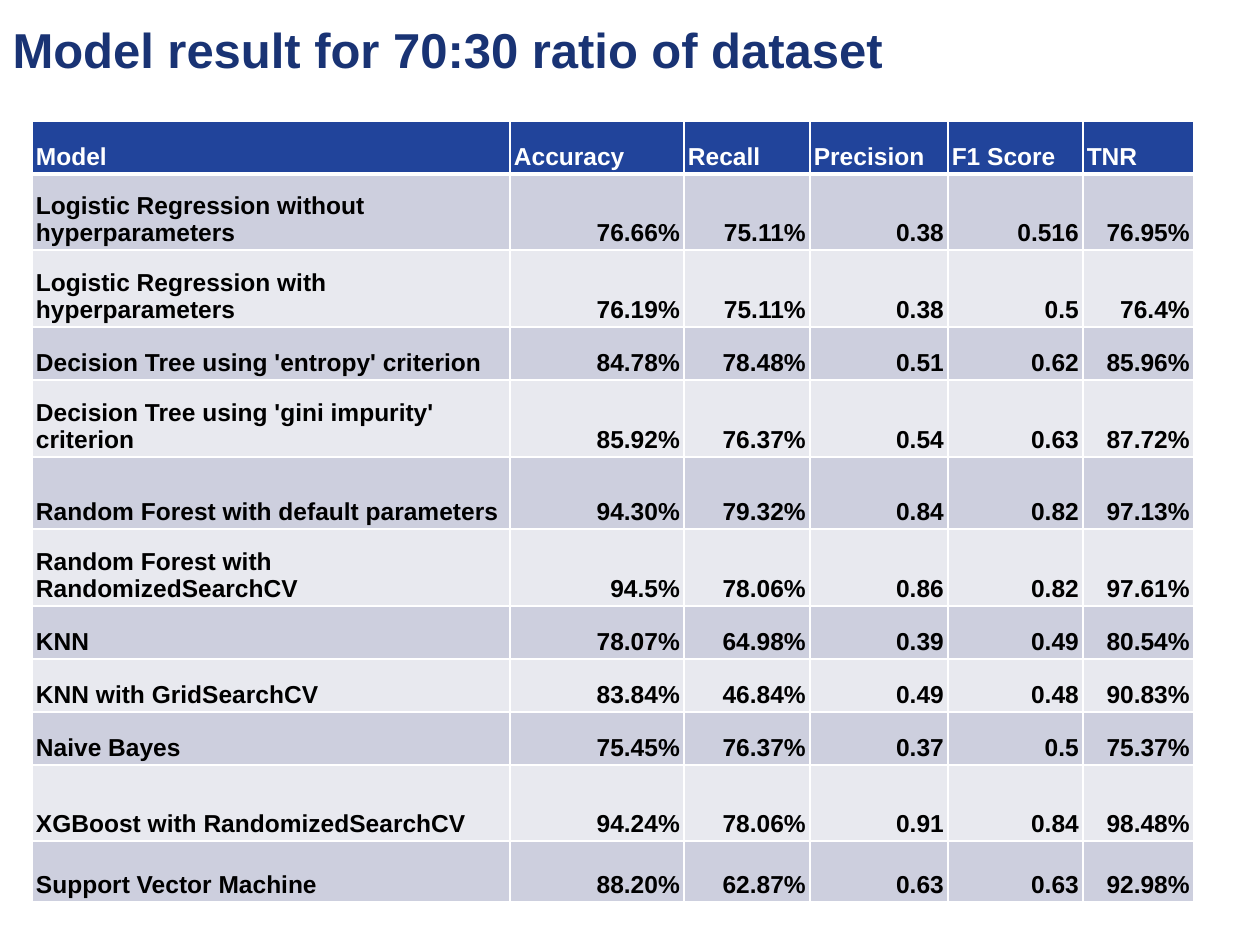
"""Build a slide that tabulates model results for the 70:30 dataset split."""
import pptx
import pptx.dml.color
import pptx.enum.text
import pptx.oxml.ns
import pptx.util
from lxml import etree

PX = 914400 // 126
FONT = "Arial"
COLORS = {
    "title": "193374",
    "header": "21449B",
    "header_text": "FFFFFF",
    "text": "000000",
    "odd_row": "CDCFDE",
    "even_row": "E8E9EF",
    "border": "FFFFFF",
}
TITLE = "Model result for 70:30 ratio of dataset"
HEADERS = ("Model", "Accuracy", "Recall", "Precision", "F1 Score", "TNR")
RESULTS = [
    ("Logistic Regression without hyperparameters", "76.66%", "75.11%", "0.38", "0.516", "76.95%"),
    ("Logistic Regression with hyperparameters", "76.19%", "75.11%", "0.38", "0.5", "76.4%"),
    ("Decision Tree using 'entropy' criterion", "84.78%", "78.48%", "0.51", "0.62", "85.96%"),
    ("Decision Tree using 'gini impurity' criterion", "85.92%", "76.37%", "0.54", "0.63", "87.72%"),
    ("Random Forest with default parameters", "94.30%", "79.32%", "0.84", "0.82", "97.13%"),
    ("Random Forest with RandomizedSearchCV", "94.5%", "78.06%", "0.86", "0.82", "97.61%"),
    ("KNN", "78.07%", "64.98%", "0.39", "0.49", "80.54%"),
    ("KNN with GridSearchCV", "83.84%", "46.84%", "0.49", "0.48", "90.83%"),
    ("Naive Bayes", "75.45%", "76.37%", "0.37", "0.5", "75.37%"),
    ("XGBoost with RandomizedSearchCV", "94.24%", "78.06%", "0.91", "0.84", "98.48%"),
    ("Support Vector Machine", "88.20%", "62.87%", "0.63", "0.63", "92.98%"),
]
COLUMN_WIDTHS = (478, 174, 126, 138, 135, 111)
ROW_HEIGHTS = (53, 76, 77, 53, 77, 72, 77, 53, 53, 53, 76, 61)
TABLE_LEFT, TABLE_TOP = 32, 121


def rgb(name):
    return pptx.dml.color.RGBColor.from_string(COLORS[name])


def add_text(paragraph, text, size, color, alignment):
    paragraph.alignment = alignment
    run = paragraph.add_run()
    run.text = text
    run.font.name = FONT
    run.font.size = pptx.util.Pt(size)
    run.font.bold = True
    run.font.color.rgb = rgb(color)


def add_borders(cell, widths):
    properties = cell._tc.get_or_add_tcPr()
    for side, width in widths.items():
        line = etree.SubElement(
            properties, pptx.oxml.ns.qn(f"a:ln{side}"), w=str(pptx.util.Pt(width)))
        fill = etree.SubElement(line, pptx.oxml.ns.qn("a:solidFill"))
        etree.SubElement(fill, pptx.oxml.ns.qn("a:srgbClr"), val=COLORS["border"])


def add_title(slide):
    title = slide.shapes.title
    title.left, title.top, title.width, title.height = 0, 13 * PX, 906 * PX, 72 * PX
    frame = title.text_frame
    frame.word_wrap = False
    frame.auto_size = pptx.enum.text.MSO_AUTO_SIZE.NONE
    frame.vertical_anchor = pptx.enum.text.MSO_ANCHOR.MIDDLE
    add_text(frame.paragraphs[0], TITLE, 28, "title", pptx.enum.text.PP_ALIGN.LEFT)


def fill_cell(cell, text, row, column):
    header = row == 0
    cell.vertical_anchor = pptx.enum.text.MSO_ANCHOR.BOTTOM
    cell.margin_left = cell.margin_right = 4 * PX
    cell.margin_top = cell.margin_bottom = 3 * PX
    add_borders(cell, {"L": 1, "R": 1, "T": 3 if row == 1 else 1, "B": 3 if header else 1})
    cell.fill.solid()
    cell.fill.fore_color.rgb = rgb(
        "header" if header else "odd_row" if row % 2 else "even_row")
    align = pptx.enum.text.PP_ALIGN
    add_text(cell.text_frame.paragraphs[0], text, 14,
             "header_text" if header else "text",
             align.LEFT if header or column == 0 else align.RIGHT)


def add_results(slide):
    rows = [HEADERS, *RESULTS]
    table = slide.shapes.add_table(
        len(rows), len(HEADERS), TABLE_LEFT * PX, TABLE_TOP * PX,
        sum(COLUMN_WIDTHS) * PX, sum(ROW_HEIGHTS) * PX).table
    for column, width in zip(table.columns, COLUMN_WIDTHS):
        column.width = width * PX
    for row, height in zip(table.rows, ROW_HEIGHTS):
        row.height = height * PX
    for row, values in enumerate(rows):
        for column, text in enumerate(values):
            fill_cell(table.cell(row, column), text, row, column)


def main():
    presentation = pptx.Presentation()
    presentation.slide_width = pptx.util.Inches(10)
    presentation.slide_height = pptx.util.Inches(7.5)
    slide = presentation.slides.add_slide(presentation.slide_layouts.get_by_name("Title Only"))
    add_title(slide)
    add_results(slide)
    presentation.save("out.pptx")


if __name__ == "__main__":
    main()
